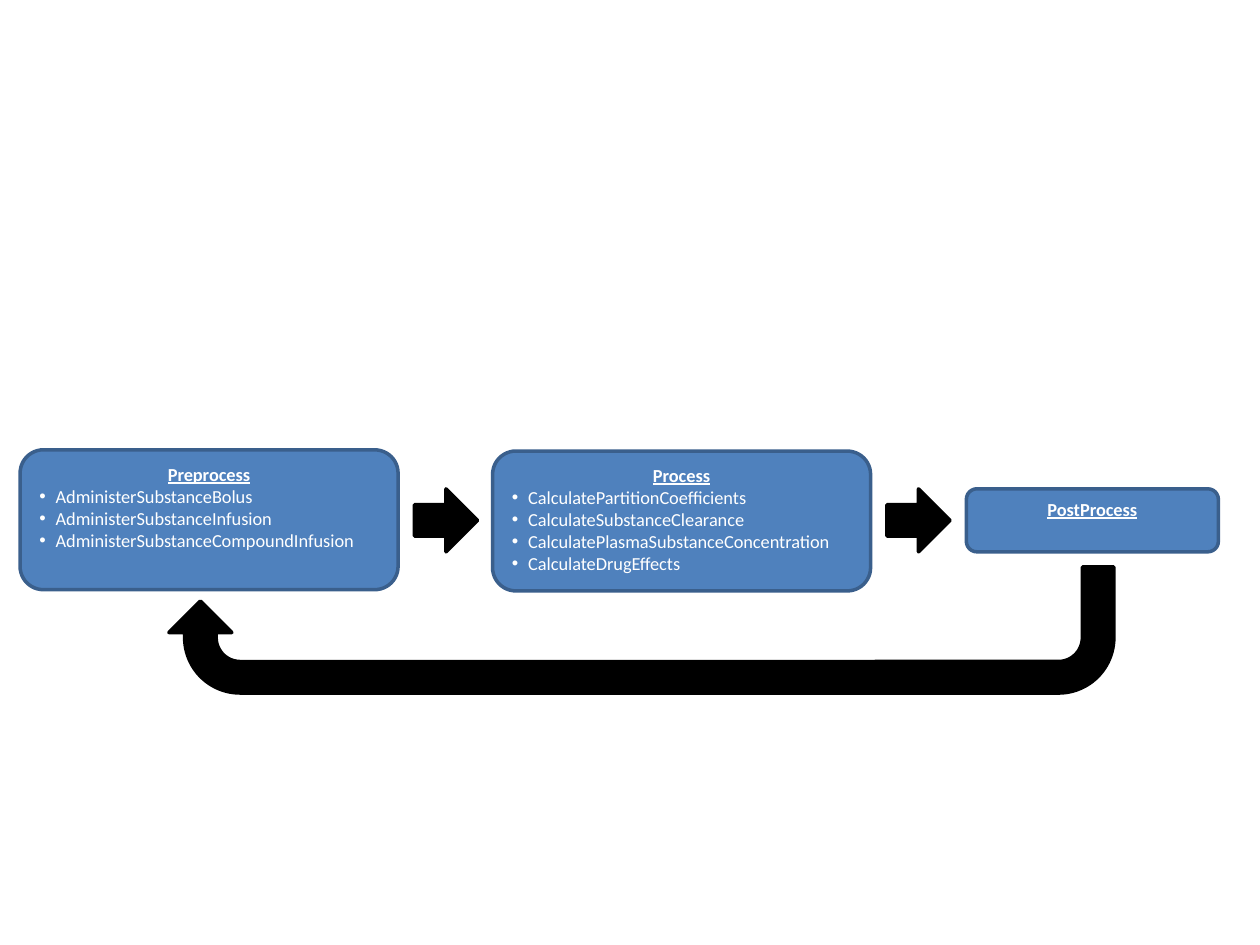
from dataclasses import dataclass

from lxml import etree
from pptx import Presentation
from pptx.dml.color import RGBColor
from pptx.enum.shapes import MSO_SHAPE
from pptx.enum.text import MSO_ANCHOR, PP_ALIGN
from pptx.oxml.ns import qn
from pptx.util import Inches, Pt

ROUNDED = MSO_SHAPE.ROUNDED_RECTANGLE
DOWN_ARROW = MSO_SHAPE.DOWN_ARROW
U_TURN_ARROW = MSO_SHAPE.U_TURN_ARROW
TOP = MSO_ANCHOR.TOP
CENTER = PP_ALIGN.CENTER
LEFT = PP_ALIGN.LEFT

BLUE = "4F81BD"
DARK_BLUE = "3A5F8C"
BLACK = "000000"
WHITE = "FFFFFF"
BULLET_INDENT = Inches(0.13)


@dataclass
class Stage:
    title: str
    left: float
    top: float
    width: float
    height: float
    steps: tuple[str, ...] = ()


STAGES = (
    Stage("Preprocess", 0.16, 3.57, 3, 1.11, (
        "AdministerSubstanceBolus",
        "AdministerSubstanceInfusion",
        "AdministerSubstanceCompoundInfusion",
    )),
    Stage("Process", 3.91, 3.58, 3, 1.11, (
        "CalculatePartitionCoefficients",
        "CalculateSubstanceClearance",
        "CalculatePlasmaSubstanceConcentration",
        "CalculateDrugEffects",
    )),
    Stage("PostProcess", 7.67, 3.88, 2, 0.5),
)


def color(value: str) -> RGBColor:
    return RGBColor.from_string(value)


def draw_shape(slide, kind, left: float, top: float, width: float, height: float,
               *, fill: str, line: str, rotation: float = 0):
    shape = slide.shapes.add_shape(
        kind, Inches(left), Inches(top), Inches(width), Inches(height))
    shape.shadow.inherit = False
    shape.fill.solid()
    shape.fill.fore_color.rgb = color(fill)
    shape.line.color.rgb = color(line)
    shape.line.width = Pt(2)
    shape.rotation = rotation
    return shape


def write_text(paragraph, text: str, *, align=LEFT, heading: bool = False,
               bullet: bool = False) -> None:
    paragraph.alignment = align
    run = paragraph.add_run()
    run.text = text
    font = run.font
    font.name = "Calibri"
    font.size = Pt(10.5)
    font.color.rgb = color(WHITE)
    font.bold = heading
    font.underline = heading
    if bullet:
        properties = paragraph._p.get_or_add_pPr()
        properties.set("marL", str(BULLET_INDENT))
        properties.set("indent", str(-BULLET_INDENT))
        etree.SubElement(properties, qn("a:buFont")).set("typeface", "Arial")
        etree.SubElement(properties, qn("a:buChar")).set("char", "•")


def draw_stage(slide, stage: Stage) -> None:
    shape = draw_shape(slide, ROUNDED, stage.left, stage.top, stage.width,
                       stage.height, fill=BLUE, line=DARK_BLUE)
    frame = shape.text_frame
    frame.word_wrap = True
    frame.vertical_anchor = TOP
    write_text(frame.paragraphs[0], stage.title, align=CENTER, heading=True)
    for step in stage.steps:
        write_text(frame.add_paragraph(), step, bullet=True)


def draw_next_arrow(slide, stage: Stage) -> None:
    """Draw the arrow that leads from this stage to the one on its right."""
    draw_shape(slide, DOWN_ARROW, stage.left + stage.width + 0.13, 3.88, 0.5, 0.5,
               fill=BLACK, line=BLACK, rotation=270)


def draw_return_arrow(slide) -> None:
    arrow = draw_shape(slide, U_TURN_ARROW, 1.34, 4.5, 7.5, 1,
                       fill=BLACK, line=BLACK, rotation=180)
    for index, value in enumerate((0.25, 0.25, 0.25, 0.44, 0.73)):
        arrow.adjustments[index] = value


def main() -> None:
    presentation = Presentation()
    presentation.slide_width = Inches(10)
    presentation.slide_height = Inches(7.5)
    slide = presentation.slides.add_slide(presentation.slide_layouts[6])
    for stage in STAGES:
        draw_stage(slide, stage)
    for stage in STAGES[:-1]:
        draw_next_arrow(slide, stage)
    draw_return_arrow(slide)
    presentation.save("out.pptx")


if __name__ == "__main__":
    main()
